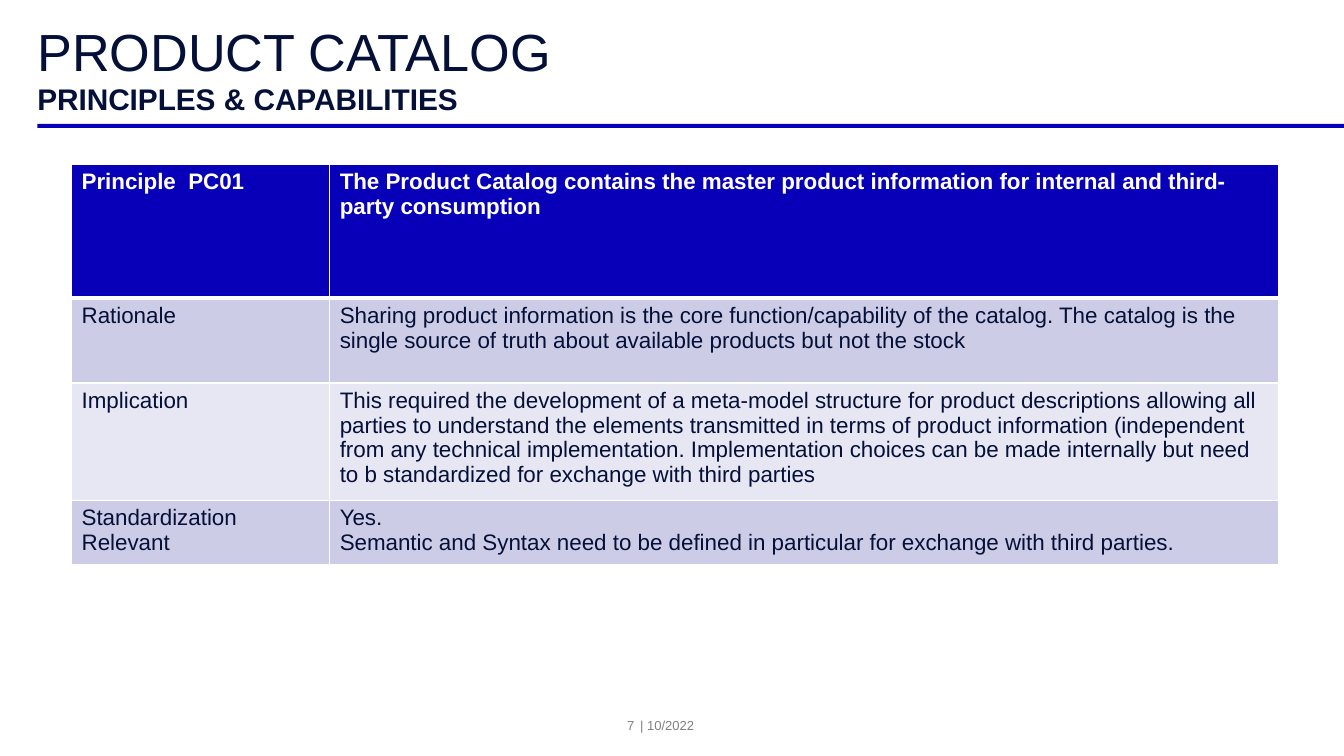
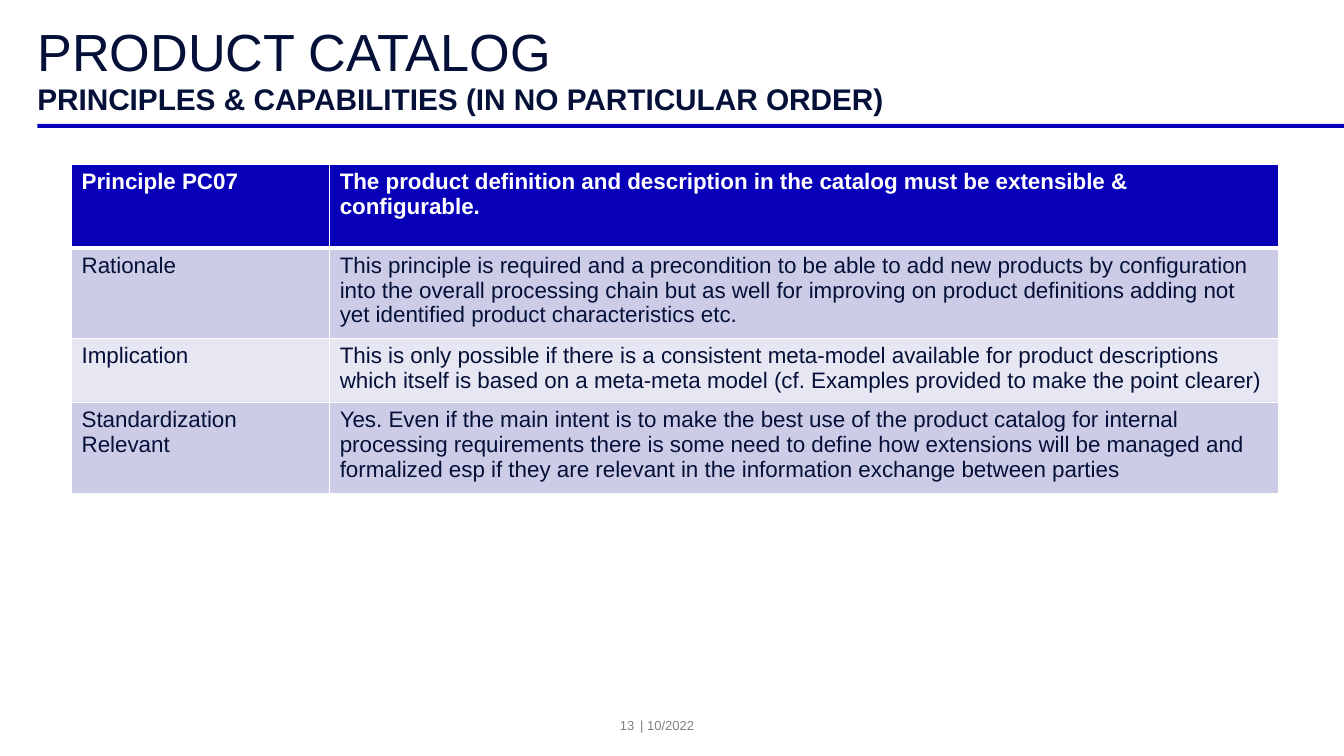
import pptx
import pptx.util
from lxml import etree
from pptx.dml.color import RGBColor
from pptx.enum.shapes import MSO_SHAPE
from pptx.enum.text import MSO_ANCHOR, PP_ALIGN
from pptx.oxml.ns import qn
from pptx.util import Inches, Pt

FONT = "Arial"
BLUE = RGBColor(0x08, 0x00, 0xB9)
NAVY = RGBColor(0x05, 0x10, 0x39)
GREY = RGBColor(0x80, 0x80, 0x80)
WHITE = RGBColor(0xFF, 0xFF, 0xFF)
BAND_DARK = RGBColor(0xCC, 0xCC, 0xE6)
BAND_LIGHT = RGBColor(0xE7, 0xE7, 0xF3)

SLIDE_WIDTH, SLIDE_HEIGHT = 13.33, 7.5
MARGIN = 0.37
HEADER_BOX = (MARGIN, 0.26, 12.6, 1.01)
FOOTER_BOX = (5.77, 7.09, 1.89, 0.21)
TABLE_BOX = (0.71, 1.63, 11.97)
LABEL_WIDTH = 2.56

TITLE = "PRODUCT CATALOG"
DATE = "| 10/2022"
ROW_LABELS = ["Rationale", "Implication", "Standardization Relevant"]

PRINCIPLES = [
    {
        "subtitle": "PRINCIPLES & CAPABILITIES",
        "number": "7",
        "name": "Principle  PC01",
        "statement": "The Product Catalog contains the master product information "
                     "for internal and third-party consumption",
        "details": [
            "Sharing product information is the core function/capability of the catalog. "
            "The catalog is the single source of truth about available products but not "
            "the stock",
            "This required the development of a meta-model structure for product "
            "descriptions allowing all parties to understand the elements transmitted in "
            "terms of product information (independent from any technical implementation. "
            "Implementation choices can be made internally but need to b standardized for "
            "exchange with third parties",
            "Yes.\nSemantic and Syntax need to be defined in particular for exchange with "
            "third parties.",
        ],
        "heights": [1.33, 0.84, 1.09, 0.59],
    },
    {
        "subtitle": "PRINCIPLES & CAPABILITIES (IN NO PARTICULAR ORDER)",
        "number": "13",
        "name": "Principle PC07",
        "statement": "The product definition and description in the catalog must be "
                     "extensible & configurable.",
        "details": [
            "This principle is required and a precondition to be able to add new products "
            "by configuration into the overall processing chain but as well for improving "
            "on product definitions adding not yet identified product characteristics etc.",
            "This is only possible if there is a consistent meta-model available for "
            "product descriptions which itself is based on a meta-meta model (cf. Examples "
            "provided to make the point clearer)",
            "Yes. Even if the main intent is to make the best use of the product catalog "
            "for internal processing requirements there is some need to define how "
            "extensions will be managed and formalized esp if they are relevant in the "
            "information exchange between parties",
        ],
        "heights": [0.83, 0.84, 0.59, 0.84],
    },
]


def style_text(frame, size, color, bold=False):
    for paragraph in frame.paragraphs:
        for run in paragraph.runs:
            run.font.name = FONT
            run.font.size = Pt(size)
            run.font.bold = bold
            run.font.color.rgb = color


def add_text(slide, box, text, size, color, bold=False, align=PP_ALIGN.LEFT,
             anchor=MSO_ANCHOR.TOP, line_spacing=1.0):
    frame = slide.shapes.add_textbox(*map(Inches, box)).text_frame
    frame.word_wrap = True
    frame.margin_left = frame.margin_right = frame.margin_top = frame.margin_bottom = 0
    frame.vertical_anchor = anchor
    frame.text = text
    frame.paragraphs[0].alignment = align
    frame.paragraphs[0].line_spacing = line_spacing
    style_text(frame, size, color, bold)


def add_header(slide, box, subtitle):
    """Title, subtitle and a rule that runs to the right edge of the slide."""
    left, top, width, height = box
    add_text(slide, (left, top, width, 0.52), TITLE, 37.3, NAVY, line_spacing=0.9)
    add_text(slide, (left, top + 0.58, width, 0.37), subtitle, 21.3, NAVY,
             bold=True, line_spacing=0.9)
    thickness = 0.04
    rule = slide.shapes.add_shape(
        MSO_SHAPE.RECTANGLE, Inches(left), Inches(top + height - thickness),
        Inches(SLIDE_WIDTH - left), Inches(thickness))
    rule.shadow.inherit = False
    rule.fill.solid()
    rule.fill.fore_color.rgb = BLUE
    rule.line.fill.background()


def add_footer(slide, box, number):
    left, top, width, height = box
    number_width, gap = 0.52, 0.06
    date_offset = number_width + gap
    add_text(slide, (left, top, number_width, height), number, 9.3, GREY,
             align=PP_ALIGN.RIGHT, anchor=MSO_ANCHOR.MIDDLE)
    add_text(slide, (left + date_offset, top, width - date_offset, height), DATE,
             9.3, GREY, anchor=MSO_ANCHOR.MIDDLE)


def add_borders(cell, top, bottom):
    """White cell borders; must be added before the cell's fill."""
    properties = cell._tc.get_or_add_tcPr()
    for side, points in (("L", 1), ("R", 1), ("T", top), ("B", bottom)):
        line = etree.SubElement(properties, qn(f"a:ln{side}"), w=str(Pt(points)))
        fill = etree.SubElement(line, qn("a:solidFill"))
        etree.SubElement(fill, qn("a:srgbClr"), val=str(WHITE))


def add_principle_table(slide, box, principle):
    left, top, width = box
    heights = principle["heights"]
    rows = [(principle["name"], principle["statement"]),
            *zip(ROW_LABELS, principle["details"])]
    table = slide.shapes.add_table(
        len(rows), 2, Inches(left), Inches(top), Inches(width),
        Inches(sum(heights))).table
    table.columns[0].width = Inches(LABEL_WIDTH)
    table.columns[1].width = Inches(width - LABEL_WIDTH)
    for index, (texts, height) in enumerate(zip(rows, heights)):
        table.rows[index].height = Inches(height)
        heading = index == 0
        band = BLUE if heading else BAND_DARK if index % 2 else BAND_LIGHT
        for cell, text in zip(table.rows[index].cells, texts):
            add_borders(cell, top=3 if index == 1 else 1, bottom=3 if heading else 1)
            cell.fill.solid()
            cell.fill.fore_color.rgb = band
            cell.text_frame.text = text
            style_text(cell.text_frame, 16, WHITE if heading else NAVY, heading)


def add_principle_slide(deck, principle):
    slide = deck.slides.add_slide(deck.slide_layouts[6])
    add_header(slide, HEADER_BOX, principle["subtitle"])
    add_principle_table(slide, TABLE_BOX, principle)
    add_footer(slide, FOOTER_BOX, principle["number"])


def main():
    deck = pptx.Presentation()
    deck.slide_width = Inches(SLIDE_WIDTH)
    deck.slide_height = Inches(SLIDE_HEIGHT)
    for principle in PRINCIPLES:
        add_principle_slide(deck, principle)
    deck.save("out.pptx")


if __name__ == "__main__":
    main()
